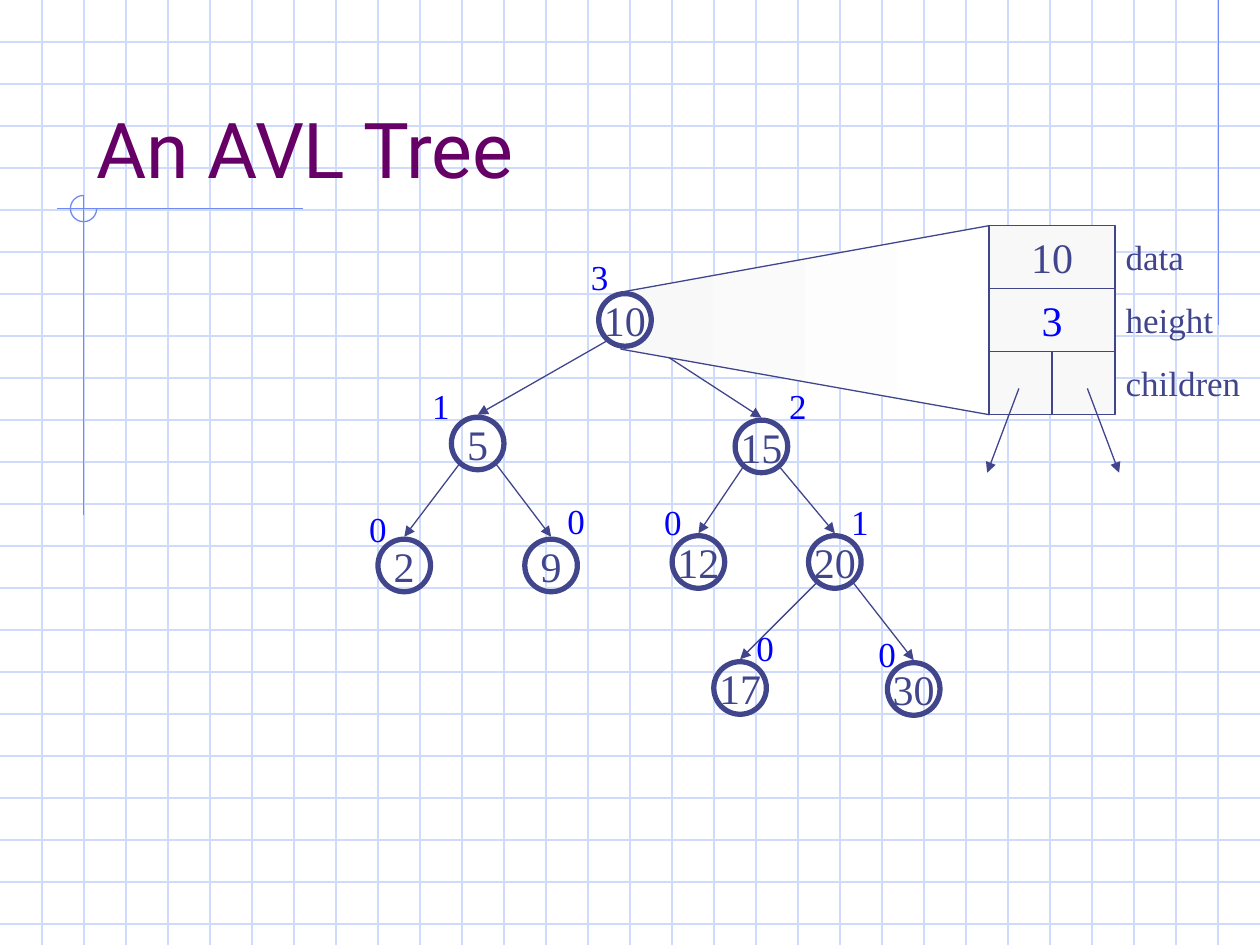
from lxml import etree
from pptx import Presentation
from pptx import util as u
from pptx.dml.color import RGBColor
from pptx.enum import shapes, text
from pptx.oxml.ns import qn

COLORS = {
    "grid": "CFDBFD", "accent": "6F89F7", "ink": "40458C", "title": "660066",
    "height": "0000FF", "cell": "F8F8F8", "white": "FFFFFF",
}
SERIF = "Times New Roman"

# key: (centre x, centre y, height, label dx, label dy, parent), in cm
NODES = {
    "10": (4.98, 0.53, "3", -0.51, -0.86, None),
    "5": (2.01, 3.02, "1", -0.74, -0.76, "10"),
    "15": (7.73, 3.08, "2", 0.74, -0.81, "10"),
    "2": (0.53, 5.48, "0", -0.53, -0.74, "5"),
    "9": (3.49, 5.48, "0", 0.51, -0.89, "5"),
    "12": (6.46, 5.41, "0", -0.51, -0.81, "15"),
    "20": (9.21, 5.41, "1", 0.51, -0.81, "15"),
    "17": (7.3, 7.95, "0", 0.51, -0.81, "20"),
    "30": (10.8, 7.97, "0", -0.53, -0.71, "20"),
}
RADIUS = 0.53


def rgb(name):
    return RGBColor.from_string(COLORS[name])


def add_line(slide, x1, y1, x2, y2, color="ink", arrow=False):
    cn = slide.shapes.add_connector(
        shapes.MSO_CONNECTOR.STRAIGHT, u.Cm(x1), u.Cm(y1), u.Cm(x2), u.Cm(y2))
    cn.line.color.rgb = rgb(color)
    cn.line.width = u.Pt(0.75)
    if arrow:
        etree.SubElement(cn.line._get_or_add_ln(), qn("a:tailEnd"), type="triangle")
    etree.SubElement(cn._element.spPr, qn("a:effectLst"))


def write(sp, words, size, color, font=SERIF):
    r = sp.text_frame.paragraphs[0].add_run()
    r.text = words
    r.font.size = u.Pt(size)
    r.font.name = font
    r.font.color.rgb = rgb(color)


def add_label(slide, x, y, w, words, color):
    sp = slide.shapes.add_textbox(u.Cm(x), u.Cm(y), u.Cm(w), u.Cm(1.12))
    sp.text_frame.word_wrap = False
    sp.text_frame.auto_size = text.MSO_AUTO_SIZE.SHAPE_TO_FIT_TEXT
    write(sp, words, 20, color)


def add_box(slide, kind, x, y, w, h, fill=None, line="ink", width=0.75,
            words="", color="ink"):
    sp = slide.shapes.add_shape(kind, u.Cm(x), u.Cm(y), u.Cm(w), u.Cm(h))
    sp.shadow.inherit = False
    if fill:
        sp.fill.solid()
        sp.fill.fore_color.rgb = rgb(fill)
    else:
        sp.fill.background()
    sp.line.color.rgb = rgb(line)
    sp.line.width = u.Pt(width)
    if words:
        tf = sp.text_frame
        tf.word_wrap = False
        tf.vertical_anchor = text.MSO_ANCHOR.MIDDLE
        tf.paragraphs[0].alignment = text.PP_ALIGN.CENTER
        write(sp, words, 24, color)
    return sp


def draw_background(slide, x, y, w, h):
    # Graph paper: 30 squares across
    step = w / 30
    for i in range(1, int(h / step) + 1):
        add_line(slide, x, y + i * step, x + w, y + i * step, "grid")
    for i in range(1, 30):
        add_line(slide, x + i * step, y, x + i * step, y + h, "grid")
    # Margin rules and the arc around their crossing
    add_line(slide, x + 24.56, y, x + 24.56, y + 6.55, "accent")
    add_line(slide, x + 6.1, y + 4.21, x + 1.14, y + 4.21, "accent")
    add_line(slide, x + 1.69, y + 3.94, x + 1.69, y + 10.39, "accent")
    arc = add_box(slide, shapes.MSO_SHAPE.ARC, x + 1.42, y + 3.94, 0.53, 0.53,
                  line="accent")
    arc.adjustments[0] = 0
    arc.adjustments[1] = 162


def draw_title(slide, x, y, w, h):
    sp = slide.shapes.add_textbox(u.Cm(x), u.Cm(y), u.Cm(w), u.Cm(h))
    sp.text_frame.word_wrap = True
    sp.text_frame.vertical_anchor = text.MSO_ANCHOR.BOTTOM
    write(sp, "An AVL Tree", 44, "title", "Roboto")


def draw_wedge(slide, x, y, w, h):
    # Zoom from the root node to its record
    fb = slide.shapes.build_freeform(u.Cm(x + w), u.Cm(y + h))
    corners = [(x + w, y), (x, y + 1.34), (x, y + 2.49)]
    fb.add_line_segments([(u.Cm(a), u.Cm(b)) for a, b in corners], close=True)
    sp = fb.convert_to_shape()
    sp.shadow.inherit = False
    sp.fill.gradient()
    sp.fill.gradient_angle = 0
    for stop, name in zip(sp.fill.gradient_stops, ("cell", "white")):
        stop.color.rgb = rgb(name)
    sp.line.color.rgb = rgb("ink")
    sp.line.width = u.Pt(0.75)


def draw_edge(slide, x, y, child):
    cx, cy, *_, parent = NODES[child]
    px, py = NODES[parent][:2]
    side = 0.38 if cx > px else -0.38
    add_line(slide, x + px + side, y + py + 0.43, x + cx, y + cy - 0.58, arrow=True)


def draw_tree(slide, x, y, behind):
    for key, (cx, cy, height, dx, dy, parent) in NODES.items():
        add_box(slide, shapes.MSO_SHAPE.OVAL, x + cx - RADIUS, y + cy - RADIUS,
                2 * RADIUS, 2 * RADIUS, None if parent else "white",
                width=3, words=key)
        if parent and key != behind:
            draw_edge(slide, x, y, key)
        add_label(slide, x + cx + dx - 0.43, y + cy + dy - 0.56, 0.86,
                  height, "height")


def draw_record(slide, x, y, w, h):
    row = h / 3
    rect = shapes.MSO_SHAPE.RECTANGLE
    # Data and height cells, then the two child cells
    for i, (words, color) in enumerate([("10", "ink"), ("3", "height")]):
        add_box(slide, rect, x, y + i * row, w, row, "cell", words=words, color=color)
    for i in range(2):
        add_box(slide, rect, x + i * w / 2, y + 2 * row, w / 2, row, "cell")
    # Child pointers
    for start, end in [(0.6, -0.04), (1.98, 2.62)]:
        add_line(slide, x + start, y + 3.28, x + end, y + 4.98, arrow=True)
    # Field names
    for i, (name, width) in enumerate([("data", 1.75), ("height", 2.4),
                                       ("children", 2.9)]):
        add_label(slide, x + w - 0.04, y + i * row + 0.08, width, name, "ink")


def main():
    prs = Presentation()
    prs.slide_width, prs.slide_height = u.Cm(25.4), u.Cm(19.05)
    slide = prs.slides.add_slide(prs.slide_layouts[6])
    tree_x, tree_y = 7.62, 5.92
    draw_background(slide, 0, 0, 25.4, 19.05)
    draw_edge(slide, tree_x, tree_y, "15")  # passes behind the wedge
    draw_title(slide, 1.69, 0.85, 21.59, 3.18)
    draw_wedge(slide, 12.52, 4.55, 7.42, 3.81)
    draw_tree(slide, tree_x, tree_y, behind="15")
    draw_record(slide, 19.94, 4.55, 2.54, 3.81)
    prs.save("out.pptx")


if __name__ == "__main__":
    main()
